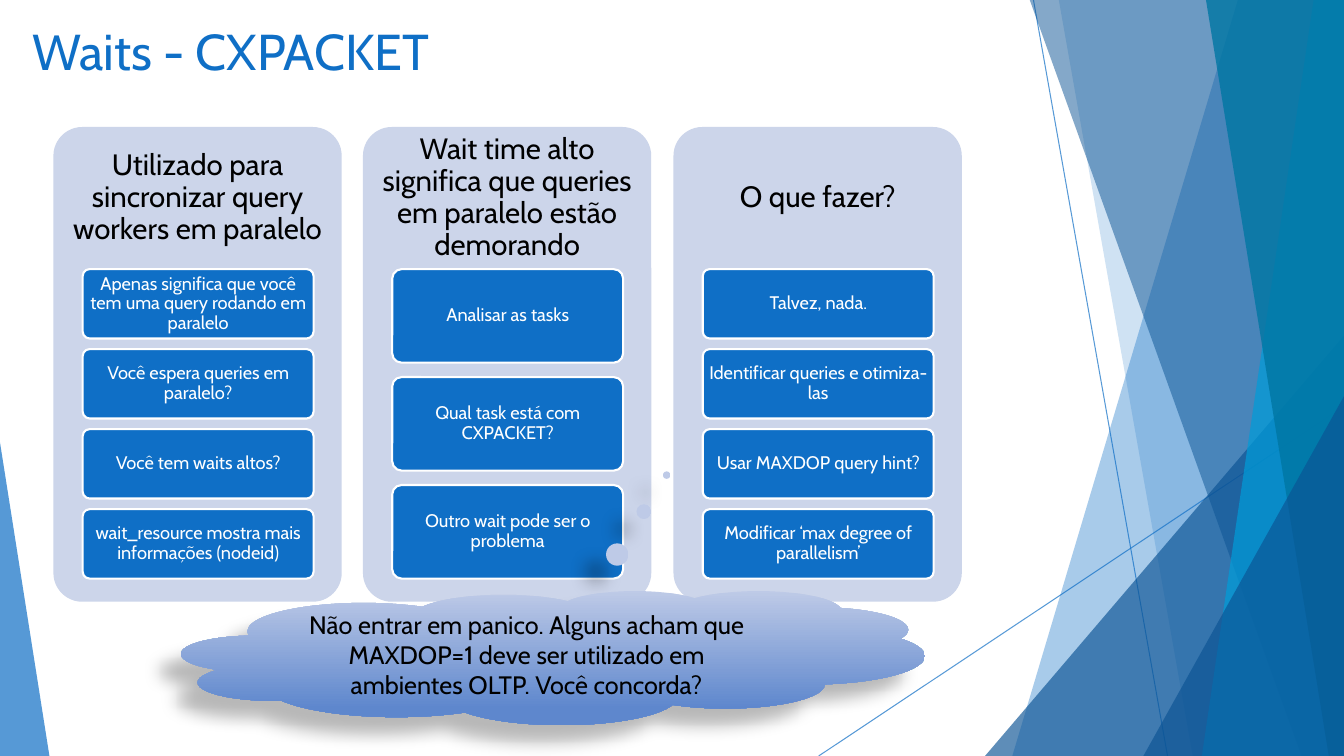
"""Build the CXPACKET waits slide with three cards and a cloud callout."""
from lxml import etree
from pptx import Presentation
from pptx.dml.color import RGBColor
from pptx.enum.shapes import MSO_CONNECTOR, MSO_SHAPE
from pptx.enum.text import MSO_ANCHOR, PP_ALIGN
from pptx.oxml.ns import qn
from pptx.util import Emu, Pt

PX = 9144
LINE = MSO_CONNECTOR.STRAIGHT
ROUND = MSO_SHAPE.ROUNDED_RECTANGLE
PEAK = MSO_SHAPE.ISOSCELES_TRIANGLE
CLOUD = MSO_SHAPE.CLOUD_CALLOUT
TOP, MID = MSO_ANCHOR.TOP, MSO_ANCHOR.MIDDLE
LEFT, MIDST = PP_ALIGN.LEFT, PP_ALIGN.CENTER
BLUE = RGBColor(0x0F, 0x6F, 0xC6)
NAVY = RGBColor(0x0B, 0x53, 0x94)
SKY = RGBColor(0x00, 0x9D, 0xD9)
TEAL = RGBColor(0x00, 0x76, 0xA3)
PALE = RGBColor(0xCC, 0xD5, 0xEA)
MIST = RGBColor(0xBE, 0xCA, 0xE7)
DUSK = RGBColor(0x5E, 0x87, 0xCD)
WHITE = RGBColor(0xFF, 0xFF, 0xFF)
BLACK = RGBColor(0x00, 0x00, 0x00)


def fade(shape, share):
    """Set the opacity of the shape's colour in percent."""
    tint = shape._element.spPr.find(".//" + qn("a:srgbClr"))
    etree.SubElement(tint, qn("a:alpha"), val=str(share * 1000))


def write(shape, text, size, color, pad, anchor=MID, align=MIDST, space=0.9):
    """Put one formatted paragraph into the shape."""
    frame = shape.text_frame
    side, edge = Emu(pad[0] * PX), Emu(pad[1] * PX)
    form = {"word_wrap": True, "vertical_anchor": anchor, "margin_left": side,
            "margin_right": side, "margin_top": edge, "margin_bottom": edge}
    for name, value in form.items():
        setattr(frame, name, value)
    para = frame.paragraphs[0]
    para.text, para.alignment, para.line_spacing = text, align, space
    for name, value in {"name": "Cabin", "size": Pt(size)}.items():
        setattr(para.font, name, value)
    para.font.color.rgb = color


deck = Presentation()
deck.slide_width, deck.slide_height = Emu(1333 * PX), Emu(750 * PX)
slide = deck.slides.add_slide(deck.slide_layouts[5])
shapes = slide.shapes

for ends in ((1025, 0, 1158, 750), (1333, 403, 812, 750)):
    ray = shapes.add_connector(LINE, *[v * PX for v in ends])
    ray.line.color.rgb = BLUE
    ray.line.width = Pt(0.75)
    fade(ray, 70)
    etree.SubElement(ray._element.spPr, qn("a:effectLst"))

facets = [
    ("band", (1228, 1004), BLUE, 36),
    ("band", (1050, 1183), BLUE, 20),
    ("peak", (977, 333, 356, 417, 1), NAVY, 66),
    ("band", (1021, 1291), NAVY, 50),
    ("band", (1303, 1192), SKY, 70),
    ("band", (1196, 1318), TEAL, 80),
    ("peak", (1134, 393, 199, 357, 1), NAVY, 66),
    ("peak", (0, 439, 49, 311, 0), BLUE, 70),
]
for kind, spot, color, share in facets:
    if kind == "band":
        head, foot = spot
        path = shapes.build_freeform(head, -1, scale=PX)
        path.add_line_segments([(1333, -1), (1333, 750), (foot, 750)])
        facet = path.convert_to_shape()
    else:
        facet = shapes.add_shape(PEAK, *[v * PX for v in spot[:4]])
        facet.adjustments[0] = spot[4]
    facet.shadow.inherit = False
    facet.fill.solid()
    facet.fill.fore_color.rgb = color
    facet.line.fill.background()
    fade(facet, share)

title = shapes.title
title.left, title.top, title.width, title.height = [
    Emu(v * PX) for v in (22, 15, 923, 87)]
write(title, "Waits - CXPACKET", 36, BLUE, (10, 5), TOP, LEFT, 1)

cards = [
    ("Utilizado para sincronizar query workers em paralelo",
     ["Apenas significa que você tem uma query rodando em paralelo",
      "Você espera queries em paralelo?",
      "Você tem waits altos?",
      "wait_resource mostra mais informações (nodeid)"]),
    ("Wait time alto significa que queries em paralelo estão demorando",
     ["Analisar as tasks",
      "Qual task está com CXPACKET?",
      "Outro wait pode ser o problema"]),
    ("O que fazer?",
     ["Talvez, nada.",
      "Identificar queries e otimiza-las",
      "Usar MAXDOP query hint?",
      "Modificar ‘max degree of parallelism’"]),
]
for col, (topic, items) in enumerate(cards):
    left = 53 + col * 615 // 2
    count = len(items)
    tall = 307 / (count + (count - 1) * 2 / 13)
    step = tall * 15 / 13
    boxes = [(left, 126, 286, 471, PALE)]
    boxes += [(left + 29, 267 + row * step, 229, tall, BLUE)
              for row in range(count)]
    for rank, (*spot, color) in enumerate(boxes):
        box = shapes.add_shape(ROUND, *[Emu(int(v * PX)) for v in spot])
        box.adjustments[0] = 0.1
        box.shadow.inherit = False
        box.fill.solid()
        box.fill.fore_color.rgb = color
        if rank:
            box.line.color.rgb = WHITE
            box.line.width = Pt(1.5)
            write(box, items[rank - 1], 13, WHITE, (4, 3))
        else:
            box.line.fill.background()
            label = shapes.add_textbox(*[v * PX for v in (left, 126, 286, 141)])
            write(label, topic, 21, BLACK, (9, 9))

cloud = shapes.add_shape(CLOUD, *[v * PX for v in (180, 586, 737, 133)])
cloud.adjustments[0], cloud.adjustments[1] = 0.153, -1.362
cloud.fill.gradient()
cloud.fill.gradient_angle = 270
for stop, place, color in zip(cloud.fill.gradient_stops, (0, 0.88), (MIST, DUSK)):
    stop.position = place
    stop.color.rgb = color
cloud.line.fill.background()
cloud.shadow.inherit = False
glow = cloud._element.spPr.find(qn("a:effectLst"))
shade = etree.SubElement(glow, qn("a:outerShdw"), blurRad=str(Pt(11.8)),
                         dist=str(Pt(19.7)), dir=str(141 * 60000), rotWithShape="0")
tint = etree.SubElement(shade, qn("a:srgbClr"), val=str(BLACK))
etree.SubElement(tint, qn("a:alpha"), val="28000")
write(cloud, "Não entrar em panico. Alguns acham que MAXDOP=1 deve ser utilizado em "
      "ambientes OLTP. Você concorda?", 18, BLACK, (10, 5), space=1)

deck.save("out.pptx")
